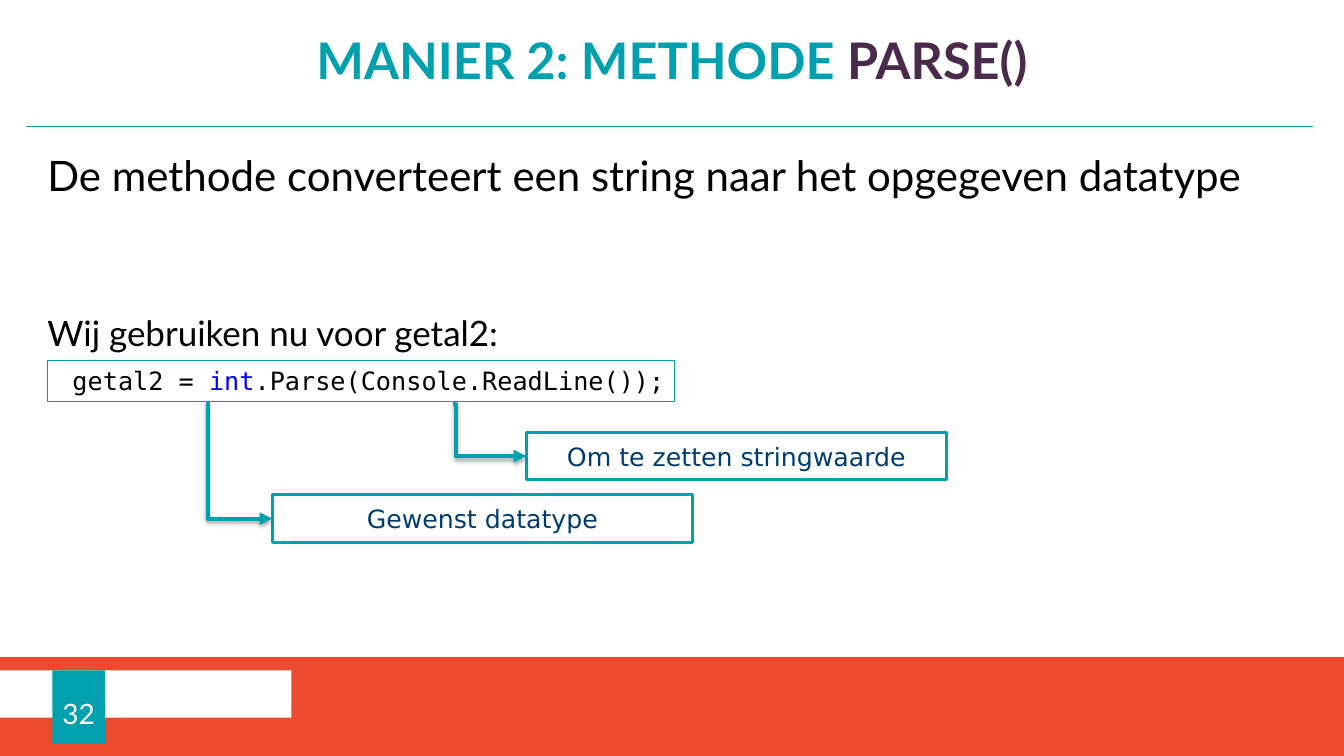
from lxml.etree import SubElement
from pptx import Presentation
from pptx.dml.color import RGBColor
from pptx.enum.shapes import MSO_CONNECTOR, MSO_SHAPE
from pptx.enum.text import MSO_ANCHOR, PP_ALIGN
from pptx.oxml import parse_xml
from pptx.oxml.ns import nsdecls, qn
from pptx.util import Inches, Pt

TEAL = RGBColor(0x00, 0xA0, 0xAE)
RED = RGBColor(0xEC, 0x4B, 0x2F)
PLUM = RGBColor(0x4B, 0x2B, 0x4B)
NAVY = RGBColor(0x00, 0x3C, 0x72)
BLUE = RGBColor(0x00, 0x00, 0xFF)
BLACK = RGBColor(0x00, 0x00, 0x00)
WHITE = RGBColor(0xFF, 0xFF, 0xFF)

SHADOW = (
    f'<a:effectLst {nsdecls("a")}>'
    '<a:outerShdw blurRad="40000" dist="23000" dir="5400000" rotWithShape="0">'
    '<a:srgbClr val="000000"><a:alpha val="35000"/></a:srgbClr>'
    '</a:outerShdw></a:effectLst>'
)
PLAIN = f'<a:effectLst {nsdecls("a")}/>'


def add_box(slide, left, top, width, height, fill=None, line=None, weight=0):
    box = slide.shapes.add_shape(
        MSO_SHAPE.RECTANGLE,
        Inches(left), Inches(top), Inches(width), Inches(height))
    box.shadow.inherit = False
    if fill is None:
        box.fill.background()
    else:
        box.fill.solid()
        box.fill.fore_color.rgb = fill
    if line is None:
        box.line.fill.background()
    else:
        box.line.color.rgb = line
        box.line.width = Pt(weight)
    return box


def add_text(slide, left, top, width, height):
    return slide.shapes.add_textbox(
        Inches(left), Inches(top), Inches(width), Inches(height))


def set_frame(shape, insets=(0.1, 0.05, 0.1, 0.05),
              anchor=MSO_ANCHOR.MIDDLE, wrap=True):
    frame = shape.text_frame
    frame.word_wrap = wrap
    frame.vertical_anchor = anchor
    frame.margin_left, frame.margin_top, frame.margin_right, \
        frame.margin_bottom = [Inches(inset) for inset in insets]
    return frame


def add_runs(para, runs, font, size, bold=False, align=PP_ALIGN.CENTER):
    para.alignment = align
    for text, color in runs:
        run = para.add_run()
        run.text = text
        run.font.name = font
        run.font.size = Pt(size)
        run.font.bold = bold
        run.font.color.rgb = color


def add_line(slide, kind, start, end, weight, effect):
    line = slide.shapes.add_connector(
        kind, *[Inches(value) for value in start + end])
    line.line.color.rgb = TEAL
    line.line.width = Pt(weight)
    line._element.spPr.append(parse_xml(effect))
    return line


def add_arrow(slide, start, end, box, bend):
    arrow = add_line(slide, MSO_CONNECTOR.ELBOW, start, end, 3, SHADOW)
    arrow.end_connect(box, 1)
    props = arrow._element.spPr
    SubElement(props.find(qn("a:ln")), qn("a:tailEnd"), type="triangle")
    guides = props.find(qn("a:prstGeom")).get_or_add_avLst()
    SubElement(guides, qn("a:gd"), name="adj1", fmla=f"val {bend}")


def add_label(slide, left, top, text):
    box = add_box(slide, left, top, 4.17, 0.47, WHITE, TEAL, 2)
    add_runs(set_frame(box).paragraphs[0], [(text, NAVY)], "DejaVu Sans", 18)
    return box


def add_title(slide):
    box = add_text(slide, 0, 0, 13.33, 1.25)
    para = set_frame(box, (0.39, 0.2, 0.39, 0.16)).paragraphs[0]
    para.line_spacing = 0.8
    runs = [("MANIER 2: METHODE ", TEAL), ("PARSE()", PLUM)]
    add_runs(para, runs, "Lato", 36, True)


def add_body(slide):
    box = add_text(slide, 0, 1.26, 13.33, 4.84)
    frame = set_frame(box, (0.47, 0.28, 0.47, 0.16), MSO_ANCHOR.TOP)
    lines = [
        ("De methode converteert een string naar het opgegeven datatype", 30, 4),
        ("Wij gebruiken nu voor getal2:", 25, 79),
    ]
    for index, (text, size, before) in enumerate(lines):
        para = frame.add_paragraph() if index else frame.paragraphs[0]
        para.line_spacing = 0.9
        para.space_before = Pt(before)
        para.space_after = Pt(4)
        add_runs(para, [(text, BLACK)], "Lato", size, align=PP_ALIGN.LEFT)


def add_code(slide):
    box = add_box(slide, 0.47, 3.58, 6.22, 0.4, None, TEAL, 0.75)
    para = set_frame(box, anchor=MSO_ANCHOR.TOP).paragraphs[0]
    runs = [(" getal2 = ", BLACK), ("int", BLUE),
            (".Parse(Console.ReadLine());", BLACK)]
    add_runs(para, runs, "DejaVu Sans Mono", 18, align=PP_ALIGN.LEFT)


def add_number(slide):
    box = add_box(slide, 0.52, 6.65, 0.52, 0.73, TEAL)
    frame = set_frame(box, (0, 0.12, 0, 0), wrap=False)
    add_runs(frame.paragraphs[0], [("32", WHITE)], "Lato", 20)


def main():
    deck = Presentation()
    deck.slide_width = Inches(13.33)
    deck.slide_height = Inches(7.5)
    slide = deck.slides.add_slide(deck.slide_layouts[6])
    add_box(slide, 0, 6.52, 13.33, 0.98, RED)
    add_box(slide, 0, 6.65, 2.89, 0.47, WHITE)
    add_line(slide, MSO_CONNECTOR.STRAIGHT,
             (0.26, 1.25), (13.02, 1.25), 0.5, PLAIN)
    add_body(slide)
    add_title(slide)
    add_number(slide)
    add_code(slide)
    kind = add_label(slide, 2.7, 4.91, "Gewenst datatype")
    add_arrow(slide, (2.06, 3.98), (2.7, 5.15), kind, 0)
    value = add_label(slide, 5.22, 4.29, "Om te zetten stringwaarde")
    add_arrow(slide, (4.49, 4.01), (5.22, 4.53), value, 4600)
    deck.save("out.pptx")


if __name__ == "__main__":
    main()
